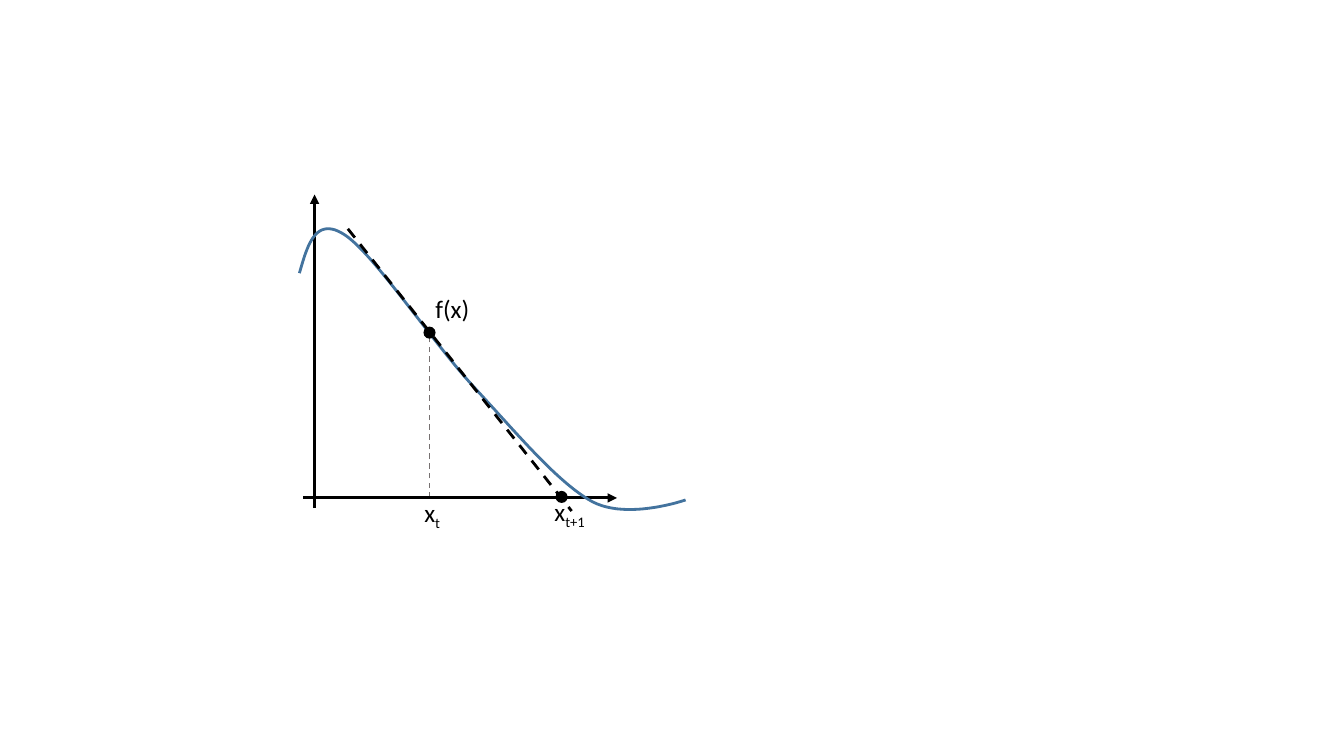
from dataclasses import dataclass

from lxml.etree import SubElement
from pptx import Presentation
from pptx.dml.color import RGBColor as RGB
from pptx.enum.dml import MSO_LINE as DASH
from pptx.enum.shapes import MSO_CONNECTOR as CONN, MSO_SHAPE as SHAPE
from pptx.enum.text import MSO_AUTO_SIZE as AUTO
from pptx.oxml.ns import qn
from pptx.util import Inches, Pt


@dataclass(frozen=True)
class Theme:
    font: str = "Calibri"
    text_size: float = 18
    ink: str = "000000"
    guide: str = "767171"
    curve: str = "43739E"
    axis_width: float = 2.25
    curve_width: float = 2
    guide_width: float = 1


def bezier(p0, p1, p2, p3, t):
    """Point at parameter t of a cubic Bezier segment."""
    u = 1 - t
    return tuple(u**3 * a + 3 * u * u * t * b + 3 * u * t * t * c + t**3 * d
                 for a, b, c, d in zip(p0, p1, p2, p3))


class Diagram:
    """Draws elements, in inches, into one group on a slide."""

    def __init__(self, slide, theme):
        self.theme = theme
        self.shapes = slide.shapes.add_group_shape().shapes

    def stroke(self, sp, color, width, dash=None):
        sp.line.color.rgb = RGB.from_string(color)
        sp.line.width = Pt(width)
        if dash:
            sp.line.dash_style = dash

    def line(self, start, end, color, width, dash=None, arrow=False):
        sp = self.shapes.add_connector(CONN.STRAIGHT, *map(Inches, start + end))
        self.stroke(sp, color, width, dash)
        sp_pr = sp._element.spPr
        if arrow:
            SubElement(sp_pr.find(qn("a:ln")), qn("a:tailEnd"), type="triangle")
        SubElement(sp_pr, qn("a:effectLst"))

    def curve(self, start, segments, steps=24):
        """Smooth open curve; each segment is two control points and an end."""
        points, last = [], start
        for c1, c2, end in segments:
            points += [bezier(last, c1, c2, end, i / steps)
                       for i in range(1, steps + 1)]
            last = end
        fb = self.shapes.build_freeform(*map(Inches, start))
        fb.add_line_segments([tuple(map(Inches, pt)) for pt in points], close=False)
        sp = fb.convert_to_shape()
        sp.shadow.inherit = False
        sp.fill.background()
        self.stroke(sp, self.theme.curve, self.theme.curve_width)

    def dot(self, center, size=0.12):
        x, y = center
        sp = self.shapes.add_shape(SHAPE.OVAL, Inches(x - size / 2), Inches(y - size / 2),
                                   Inches(size), Inches(size))
        sp.shadow.inherit = False
        sp.fill.solid()
        sp.fill.fore_color.rgb = RGB.from_string(self.theme.ink)
        sp.line.fill.background()

    def label(self, left, top, width, text, subscript=""):
        sp = self.shapes.add_textbox(*map(Inches, (left, top, width, 0.4)))
        tf = sp.text_frame
        tf.word_wrap = True
        tf.auto_size = AUTO.SHAPE_TO_FIT_TEXT
        p = tf.paragraphs[0]
        p.text = text
        if subscript:
            r = p.add_run()
            r.text = subscript
            r._r.get_or_add_rPr().set("baseline", "-25000")
        for r in p.runs:
            r.font.name = self.theme.font
            r.font.size = Pt(self.theme.text_size)
            r.font.color.rgb = RGB.from_string(self.theme.ink)


def main():
    prs = Presentation()
    prs.slide_width, prs.slide_height = Inches(13.33), Inches(7.5)
    s = prs.slides.add_slide(prs.slide_layouts[6])
    theme = Theme()
    d = Diagram(s, theme)

    axis_x, axis_y = 3.12, 4.94
    current, following = (4.26, 3.3), (5.57, 4.93)

    d.line((current[0], axis_y), (current[0], 3.33), theme.guide,
           theme.guide_width, DASH.DASH)
    for start, end in (((axis_x, 5.04), (axis_x, 1.93)),
                       ((3.01, axis_y), (6.12, axis_y))):
        d.line(start, end, theme.ink, theme.axis_width, arrow=True)
    d.curve((2.97, 2.71), [
        ((3.05, 2.43), (3.13, 2.14), (3.42, 2.33)),
        ((3.71, 2.52), (4.3, 3.41), (4.71, 3.85)),
        ((5.12, 4.29), (5.53, 4.79), (5.88, 4.98)),
        ((6.23, 5.16), (6.8, 4.96), (6.8, 4.96)),
    ])
    for point in (current, following):
        d.dot(point)
    d.line((3.45, 2.27), (5.67, 5.07), theme.ink, theme.curve_width, DASH.DASH)

    d.label(4.11, 4.88, 0.5, "x", "t")
    d.label(4.22, 2.86, 0.64, "f(x)")
    d.label(5.4, 4.87, 0.65, "x", "t+1")
    prs.save("out.pptx")


if __name__ == "__main__":
    main()
